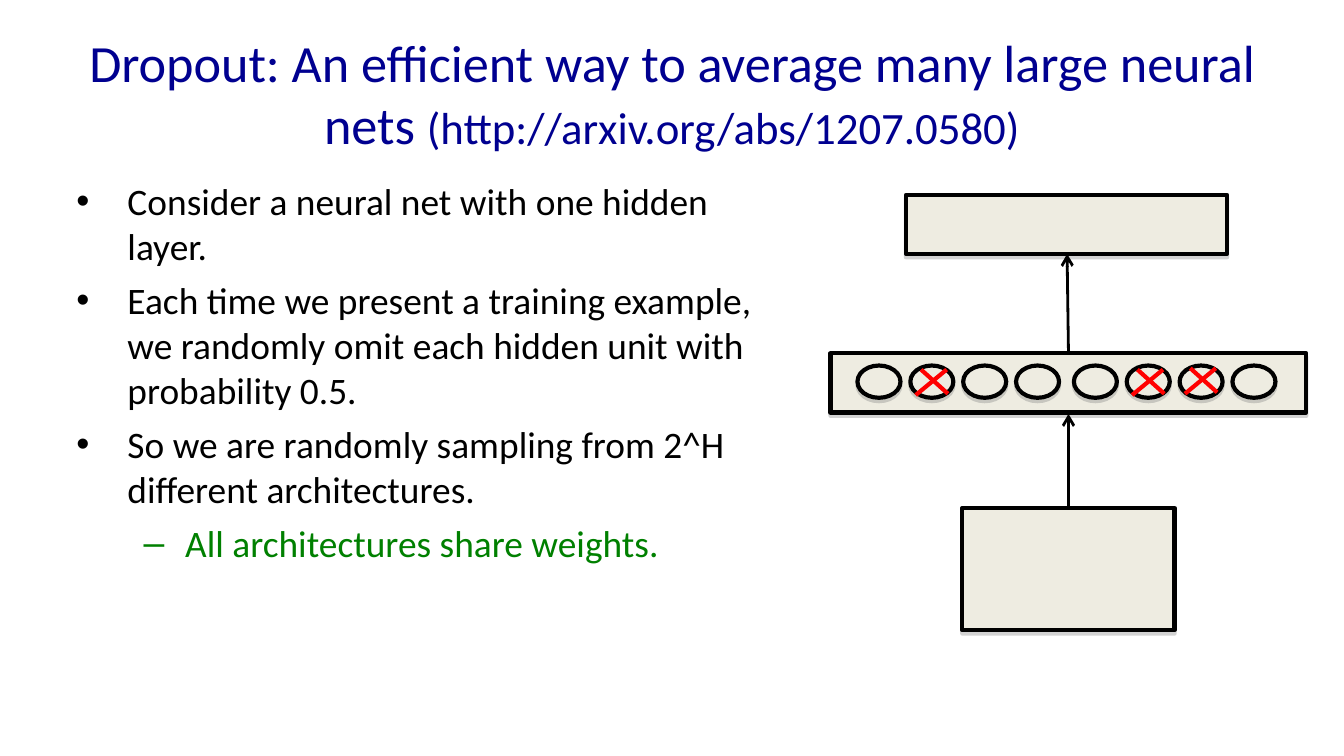
from lxml.etree import SubElement
from pptx import Presentation
from pptx.dml.color import RGBColor
from pptx.enum.shapes import MSO_CONNECTOR, MSO_SHAPE
from pptx.enum.text import MSO_ANCHOR, PP_ALIGN
from pptx.oxml.ns import qn
from pptx.util import Inches, Pt

BLACK, NAVY, GREEN, RED, CREAM = "000000", "000090", "008000", "FF0000", "EEECE1"


def colour(hex_code):
    return RGBColor.from_string(hex_code)


def apply(target, values):
    for name, value in values.items():
        setattr(target, name, value)


def add_xml(parent, tag, **attributes):
    return SubElement(parent, qn(tag), attributes)


class SlideBuilder:
    font = "Calibri"
    outline = Pt(2.25)

    def __init__(self, slide):
        self.slide = slide

    def text_frame(self, left, top, width, height, **values):
        box = self.slide.shapes.add_textbox(*map(Inches, (left, top, width, height)))
        apply(box.text_frame, {"word_wrap": True, **values})
        return box.text_frame

    def run(self, paragraph, text, size, hex_code):
        run = paragraph.add_run()
        run.text = text
        apply(run.font, {"name": self.font, "size": Pt(size)})
        run.font.color.rgb = colour(hex_code)

    def bullet(self, paragraph, text, char, margin, hanging, level, hex_code):
        props = paragraph._p.get_or_add_pPr()
        paragraph.level = level
        props.set("marL", str(Inches(margin)))
        props.set("indent", str(-Inches(hanging)))
        add_xml(add_xml(props, "a:buClr"), "a:srgbClr", val=hex_code)
        add_xml(props, "a:buFont", typeface="Arial")
        add_xml(props, "a:buChar", char=char)
        self.run(paragraph, text, 20, hex_code)

    def shape(self, kind, left, top, width, height):
        shape = self.slide.shapes.add_shape(kind, *map(Inches, (left, top, width, height)))
        shape.fill.solid()
        shape.fill.fore_color.rgb = colour(CREAM)
        shape.line.color.rgb = colour(BLACK)
        shape.line.width = self.outline
        # Grey shadow straight below
        shape.shadow.inherit = False
        effects = shape._element.spPr.find(qn("a:effectLst"))
        shadow = add_xml(effects, "a:outerShdw", blurRad="0", dist=str(Pt(1.8)),
                         dir="5400000", rotWithShape="0")
        add_xml(add_xml(shadow, "a:srgbClr", val="808080"), "a:alpha", val="35000")

    def line(self, start, end, hex_code, width, arrow=False):
        line = self.slide.shapes.add_connector(
            MSO_CONNECTOR.STRAIGHT, *map(Inches, (*start, *end)))
        line.line.color.rgb = colour(hex_code)
        line.line.width = width
        if arrow:
            add_xml(line.line._get_or_add_ln(), "a:tailEnd", type="arrow")
        add_xml(line._element.spPr, "a:effectLst")


def main():
    deck = Presentation()
    # Widescreen, 16:9
    apply(deck, {"slide_width": Inches(10), "slide_height": Inches(10 * 9 / 16)})
    builder = SlideBuilder(deck.slides.add_slide(deck.slide_layouts[6]))

    # Title
    title = builder.text_frame(0.5, 0.22, 9, 0.94, vertical_anchor=MSO_ANCHOR.MIDDLE)
    heading = title.paragraphs[0]
    heading.alignment = PP_ALIGN.CENTER
    builder.run(heading, "Dropout: An efficient way to average many large neural nets ", 28, NAVY)
    builder.run(heading, "(http://arxiv.org/abs/1207.0580)", 24, NAVY)

    # Explanation
    main_point = ("•", 0.38, 0.38, 0, BLACK)
    sub_point = ("–", 0.81, 0.31, 1, GREEN)
    points = [
        ("Consider a neural net with one hidden layer.", main_point),
        ("Each time we present a training example, we randomly omit each "
         "hidden unit with probability 0.5.", main_point),
        ("So we are randomly sampling from 2^H different architectures.", main_point),
        ("All architectures share weights.", sub_point),
    ]
    explanation = builder.text_frame(0.47, 1.28, 5.29, 3.71)
    for index, (text, style) in enumerate(points):
        point = explanation.add_paragraph() if index else explanation.paragraphs[0]
        builder.bullet(point, text, *style)
        if index:
            point.space_before = Pt(5)

    # Input, hidden and output layers
    for layer in [(7.16, 3.78, 1.58, 0.91), (6.18, 2.63, 3.54, 0.44), (6.74, 1.45, 2.39, 0.44)]:
        builder.shape(MSO_SHAPE.RECTANGLE, *layer)

    # Connections between layers
    for start, end in [((7.95, 3.78), (7.95, 3.08)), ((7.95, 2.63), (7.94, 1.89))]:
        builder.line(start, end, BLACK, Pt(1.5), arrow=True)

    # Hidden units: two groups of four
    pitch = 1.18 / 3
    units = [group + i * pitch for group in (6.38, 7.99) for i in range(4)]
    for left in units:
        builder.shape(MSO_SHAPE.OVAL, left, 2.72, 0.32, 0.24)

    # Crosses on the omitted units
    for omitted, top in [(6, 2.74), (5, 2.75), (1, 2.75)]:
        left = units[omitted]
        builder.line((left + 0.08, top), (left + 0.28, top + 0.18), RED, builder.outline)
        builder.line((left + 0.04, top + 0.19), (left + 0.27, top), RED, builder.outline)

    deck.save("out.pptx")


if __name__ == "__main__":
    main()
